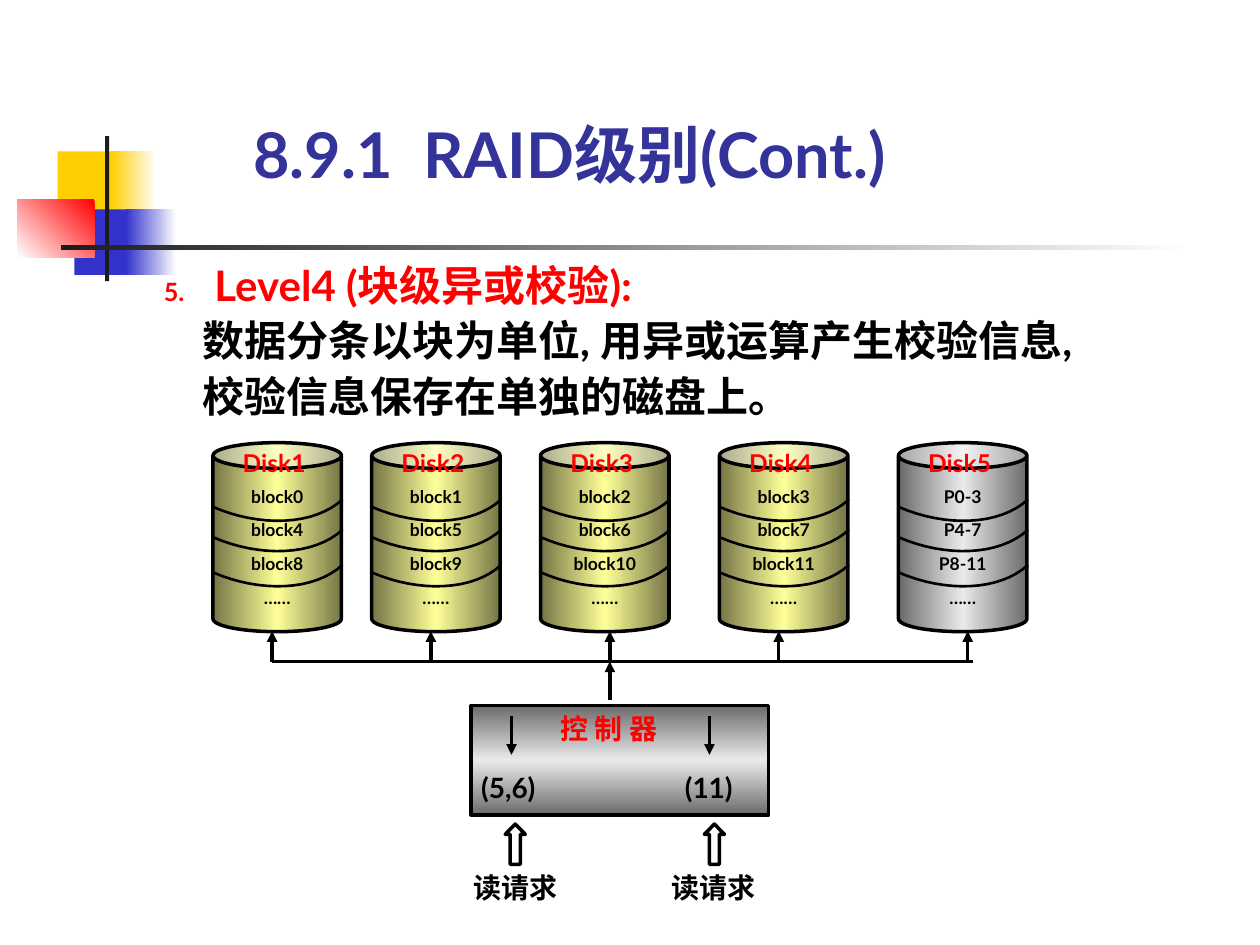
"""Builds the RAID level 4 slide: striped disks, parity disk and controller."""
from copy import deepcopy

from lxml import etree
from pptx import Presentation
from pptx.dml.color import RGBColor
from pptx.enum.shapes import MSO_CONNECTOR, MSO_SHAPE
from pptx.enum.text import MSO_ANCHOR, MSO_AUTO_SIZE, PP_ALIGN
from pptx.oxml.ns import qn
from pptx.util import Pt

RECT, CAN, UP_ARROW = MSO_SHAPE.RECTANGLE, MSO_SHAPE.CAN, MSO_SHAPE.UP_ARROW
STRAIGHT = MSO_CONNECTOR.STRAIGHT
LEFT, CENTER = PP_ALIGN.LEFT, PP_ALIGN.CENTER
TOP, MIDDLE, BOTTOM = MSO_ANCHOR.TOP, MSO_ANCHOR.MIDDLE, MSO_ANCHOR.BOTTOM
NO_FIT = MSO_AUTO_SIZE.NONE

COLORS = {
    "white": "FFFFFF", "black": "000000", "red": "FF0000", "title": "333399",
    "gold": "FFCF01", "blue": "3333CC", "ink": "1C1C1C",
    "olive": "757546", "yellow": "FFFF99", "gray": "6B6B6B", "silver": "EAEAEA",
}
RGB = {name: RGBColor.from_string(value) for name, value in COLORS.items()}
FONT = "Lato"


def fill_text(shape, lines, size, color, align=LEFT, anchor=TOP, spacing=None, insets=(0, 0, 0, 0), wrap=True):
    frame = shape.text_frame
    frame.auto_size, frame.word_wrap, frame.vertical_anchor = NO_FIT, wrap, anchor
    frame.margin_left, frame.margin_top, frame.margin_right, frame.margin_bottom = map(Pt, insets)
    for index, line in enumerate(lines):
        paragraph = frame.add_paragraph() if index else frame.paragraphs[0]
        paragraph.alignment = align
        if spacing:
            paragraph.line_spacing = spacing
        run = paragraph.add_run()
        run.text = line
        run.font.name, run.font.size, run.font.bold = FONT, Pt(size), True
        run.font.color.rgb = RGB[color]


def add_block(kind, box, colors, angle=0, line_width=0):
    block = slide.shapes.add_shape(kind, *map(Pt, box))
    block.shadow.inherit = False
    if not colors:
        block.fill.background()
    elif len(colors) == 1:
        block.fill.solid()
        block.fill.fore_color.rgb = RGB[colors[0]]
    else:
        block.fill.gradient()
        block.fill.gradient_angle = angle
        stops = block._element.spPr.find(".//" + qn("a:gsLst"))
        for _ in colors[2:]:
            stops.append(deepcopy(stops[0]))
        for index, stop in enumerate(block.fill.gradient_stops):
            stop.color.rgb = RGB[colors[index]]
            stop.position = index / (len(colors) - 1)
    if line_width:
        block.line.color.rgb, block.line.width = RGB["black"], Pt(line_width)
    else:
        block.line.fill.background()
    return block


prs = Presentation()
prs.slide_width, prs.slide_height = Pt(720), Pt(540)
slide = prs.slides.add_slide(prs.slide_layouts[5])

title = slide.shapes.title
title.left, title.top, title.width, title.height = Pt(144.7), Pt(66.2), Pt(415.4), Pt(43.2)
fill_text(title, ["8.9.1  RAID级别(Cont.)"], 36, "title", anchor=BOTTOM)

for box, colors, angle in [
    ((33, 86.5, 34.5, 37.5), ["gold"], 0),
    ((63.4, 86.5, 26, 37.5), ["white", "gold"], 180),
    ((42.5, 119.6, 33, 37.5), ["blue"], 0),
    ((72, 119.6, 28.8, 37.5), ["white", "blue"], 180),
    ((10, 113.8, 44, 33.1), ["red", "white"], 225),
    ((60, 77.8, 2.4, 82.8), ["ink"], 0),
    ((34.6, 140.2, 648, 2.4), ["white", "ink"], 180),
]:
    add_block(RECT, box, colors, angle)

description = slide.shapes.add_textbox(Pt(93.6), Pt(145.4), Pt(556), Pt(95))
fill_text(description, ["Level4 (块级异或校验):", "数据分条以块为单位, 用异或运算产生校验信息,",
                        "校验信息保存在单独的磁盘上。"], 24, "black", spacing=1.1)
heading, *details = description.text_frame.paragraphs
heading.runs[0].font.color.rgb = RGB["red"]
heading_props = heading._p.get_or_add_pPr()
heading_props.set("marL", str(Pt(29)))
heading_props.set("indent", str(Pt(-29)))
bullet_color = etree.SubElement(heading_props, qn("a:buClr"))
etree.SubElement(bullet_color, qn("a:srgbClr"), val=COLORS["red"])
etree.SubElement(heading_props, qn("a:buSzPct"), val="60000")
etree.SubElement(heading_props, qn("a:buFont"), typeface=FONT)
etree.SubElement(heading_props, qn("a:buAutoNum"), type="arabicPeriod", startAt="5")
for detail in details:
    detail._p.get_or_add_pPr().set("marL", str(Pt(22)))

disk_lefts = [121.7, 212.4, 308.9, 411.1, 513.4]
disk_top = 253
band_curve = [(74, 0), (58, 15), (27, 16), (0, 4.3)]
band_steps = 16
for number, disk_left in enumerate(disk_lefts):
    is_parity = number == 4
    if is_parity:
        blocks = ["P0-3", "P4-7", "P8-11"]
        shades = ["gray", "silver", "gray"]
    else:
        blocks = [f"block{number + 4 * row}" for row in range(3)]
        shades = ["olive", "yellow", "olive"]
    disk = add_block(CAN, (disk_left, disk_top, 73.4, 108), shades, 180, 2)
    disk.adjustments[0] = 0.2
    fill_text(disk, blocks + ["……"], 10, "black", CENTER, MIDDLE, 1.6, (7.2, 0, 7.2, 3.6), False)
    disk_label = slide.shapes.add_textbox(Pt(disk_left + 17), Pt(256.3), Pt(39.6), Pt(16.6))
    fill_text(disk_label, [f"Disk{number + 1}"], 14, "red")
    for band_top in (32.4, 49.7, 69.8):
        points = []
        for step in range(band_steps + 1):
            t = step / band_steps
            weights = [(1 - t) ** 3, 3 * t * (1 - t) ** 2, 3 * t ** 2 * (1 - t), t ** 3]
            x, y = (sum(w * p[axis] for w, p in zip(weights, band_curve)) for axis in (0, 1))
            points.append((Pt(disk_left + x), Pt(disk_top + band_top + y)))
        builder = slide.shapes.build_freeform(*points[0])
        builder.add_line_segments(points[1:], close=False)
        band = builder.convert_to_shape()
        band.shadow.inherit = False
        band.fill.background()
        band.line.color.rgb, band.line.width = RGB["black"], Pt(1.5)

add_block(RECT, (269.3, 403.2, 170, 62.6), ["gray", "silver", "gray"], 270, 2)

bus_y = 378
disk_links = [(x, bus_y, x, 360.7, True) for x in (155.5, 246.2, 348.5, 445, 553)]
request_links = [(x, 409, x, 431.3, True) for x in (292.3, 405.4)]
bus_links = [(155.5, bus_y, 555.8, bus_y, False), (348.5, 400.3, 348.5, bus_y, True)]
for *ends, has_arrow in disk_links + bus_links + request_links:
    link = slide.shapes.add_connector(STRAIGHT, *map(Pt, ends))
    link.line.color.rgb, link.line.width = RGB["black"], Pt(2)
    if has_arrow:
        etree.SubElement(link.line._get_or_add_ln(), qn("a:tailEnd"), type="triangle")
    etree.SubElement(link._element.spPr, qn("a:effectLst"))

for caption, box, color, align in [
    ("控 制 器", (320.4, 406.8, 62.6, 19.4), "red", LEFT),
    ("(5,6)", (275, 440.6, 45.4, 19.4), "black", LEFT),
    ("(11)", (382.3, 440.6, 45.4, 19.4), "black", CENTER),
    ("读请求", (269.3, 497.5, 51, 19.4), "black", CENTER),
    ("读请求", (382.3, 497.5, 51, 19.4), "black", CENTER),
]:
    fill_text(slide.shapes.add_textbox(*map(Pt, box)), [caption], 16, color, align)

for request_left in (288.7, 402.5):
    request_arrow = add_block(UP_ARROW, (request_left, 470.9, 11.5, 23), [], 0, 2)
    request_arrow.adjustments[0], request_arrow.adjustments[1] = 0.5, 0.51

prs.save("out.pptx")
